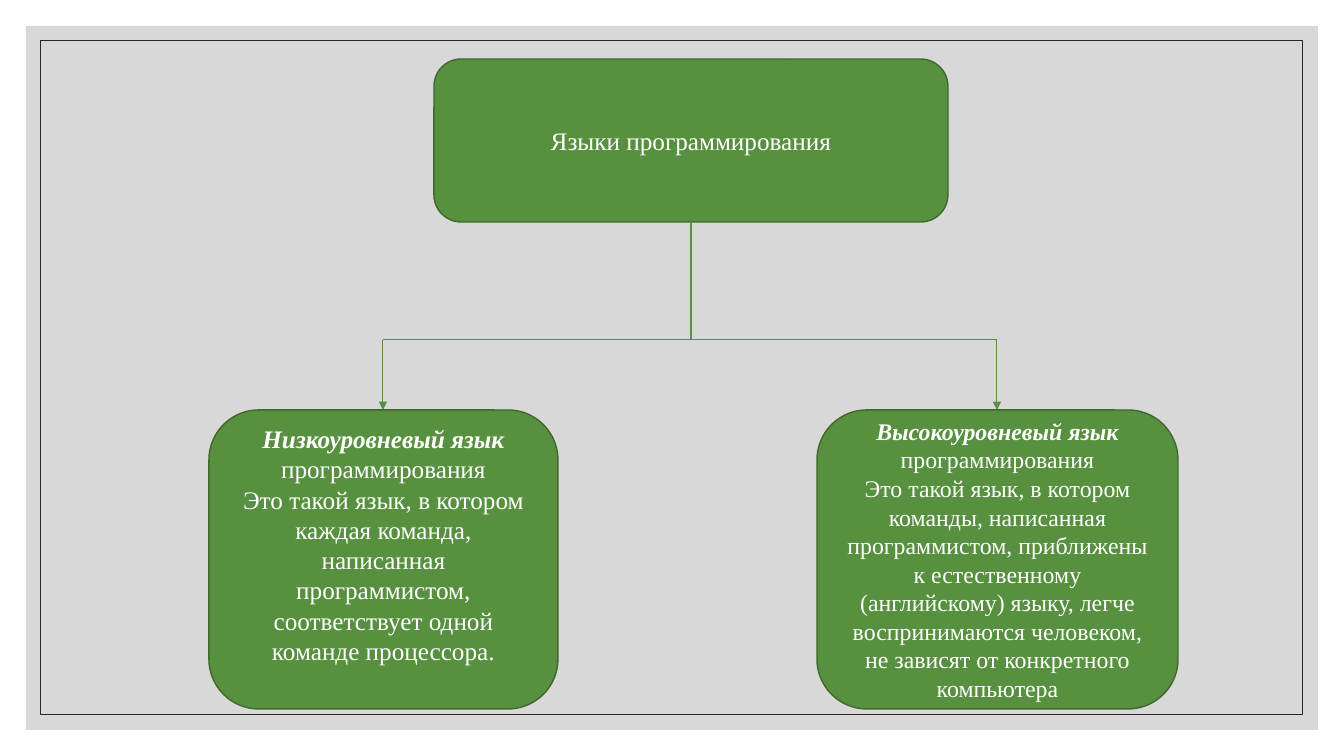
from lxml import etree
from pptx import Presentation
from pptx import util as u
from pptx.dml.color import RGBColor
from pptx.enum import shapes, text
from pptx.oxml.ns import qn

HUES = {"panel": "BFBFBF", "frame": "262626", "box": "57903F",
        "edge": "3F692D", "text": "FFFFFF"}
FONT = "Times New Roman"
SIZE = (1344, 756)
ROOT = (434, 59, 514, 163)
LOW = (209, 410, 349, 299)
HIGH = (817, 410, 361, 299)
BEND = 340


def px(n):
    """Turn whole pixels into EMU."""
    return u.Emu(round(n * 914400 / 100.8))


def hue(name):
    """Look up a colour by its role."""
    return RGBColor.from_string(HUES[name])


def shape(slide, kind, box, fill=None, edge=None, width=1):
    """Place a flat shape in the box."""
    item = slide.shapes.add_shape(kind, *map(px, box))
    item.shadow.inherit = False
    if fill:
        item.fill.solid()
        item.fill.fore_color.rgb = hue(fill)
    else:
        item.fill.background()
    if edge:
        item.line.color.rgb = hue(edge)
        item.line.width = u.Pt(width)
    else:
        item.line.fill.background()
    return item


def back(slide, box):
    """Draw the translucent panel and the thin frame inside it."""
    x, y, w, h = box
    kind = shapes.MSO_SHAPE.RECTANGLE
    panel = shape(slide, kind, box, fill="panel")
    tone = panel._element.spPr.find(".//" + qn("a:srgbClr"))
    etree.SubElement(tone, qn("a:alpha"), val="60000")
    gap = 15
    inner = (x + gap, y + gap, w - 2 * gap, h - 2 * gap)
    shape(slide, kind, inner, edge="frame", width=0.75)


def node(slide, box, paras, size, foot=5):
    """Draw a rounded box; each paragraph is a list of (words, strong)."""
    item = shape(slide, shapes.MSO_SHAPE.ROUNDED_RECTANGLE, box, "box", "edge")
    frame = item.text_frame
    frame.word_wrap = True
    frame.vertical_anchor = text.MSO_ANCHOR.MIDDLE
    frame.margin_bottom = px(foot)
    for i, runs in enumerate(paras):
        para = frame.add_paragraph() if i else frame.paragraphs[0]
        para.alignment = text.PP_ALIGN.CENTER
        font = para.font
        font.name, font.size = FONT, u.Pt(size)
        font.color.rgb = hue("text")
        for words, strong in runs:
            run = para.add_run()
            run.text = words
            if strong:
                run.font.bold = run.font.italic = True


def link(slide, start, end, arrow=False):
    """Draw a straight line, with an arrowhead at its end if asked."""
    line = slide.shapes.add_connector(
        shapes.MSO_CONNECTOR.STRAIGHT, *map(px, start + end))
    line.line.color.rgb = hue("box")
    line.line.width = u.Pt(0.75)
    if arrow:
        etree.SubElement(line.line._get_or_add_ln(), qn("a:tailEnd"),
                         type="triangle")
    etree.SubElement(line._element.spPr, qn("a:effectLst"))


def tree(slide, root, kids, bend):
    """Join the root box to the boxes below it."""
    x, y, w, h = root
    mid = x + w // 2
    link(slide, (mid, y + h), (mid, bend))
    for left, top, wide, _ in kids:
        turn = left + wide // 2
        link(slide, (mid, bend), (turn, bend))
        link(slide, (turn, bend), (turn, top), arrow=True)


def main():
    """Build the slide and save it."""
    deck = Presentation()
    deck.slide_width, deck.slide_height = map(px, SIZE)
    slide = deck.slides.add_slide(deck.slide_layouts[6])
    back(slide, (26, 26, 1292, 704))
    node(slide, ROOT, [[("Языки программирования", False)]], 18)
    tree(slide, ROOT, (LOW, HIGH), BEND)
    node(slide, LOW, [
        [("Низкоуровневый язык ", True), ("программирования", False)],
        [("Это такой язык, в котором каждая команда, написанная "
          "программистом, соответствует одной команде процессора.", False)],
    ], 18, foot=35)
    node(slide, HIGH, [
        [("Высокоуровневый язык", True), (" программирования", False)],
        [("Это такой язык, в котором команды, написанная программистом, "
          "приближены к естественному (английскому) языку, легче "
          "воспринимаются человеком, не зависят от конкретного компьютера",
          False)],
    ], 17)
    deck.save("out.pptx")


if __name__ == "__main__":
    main()
